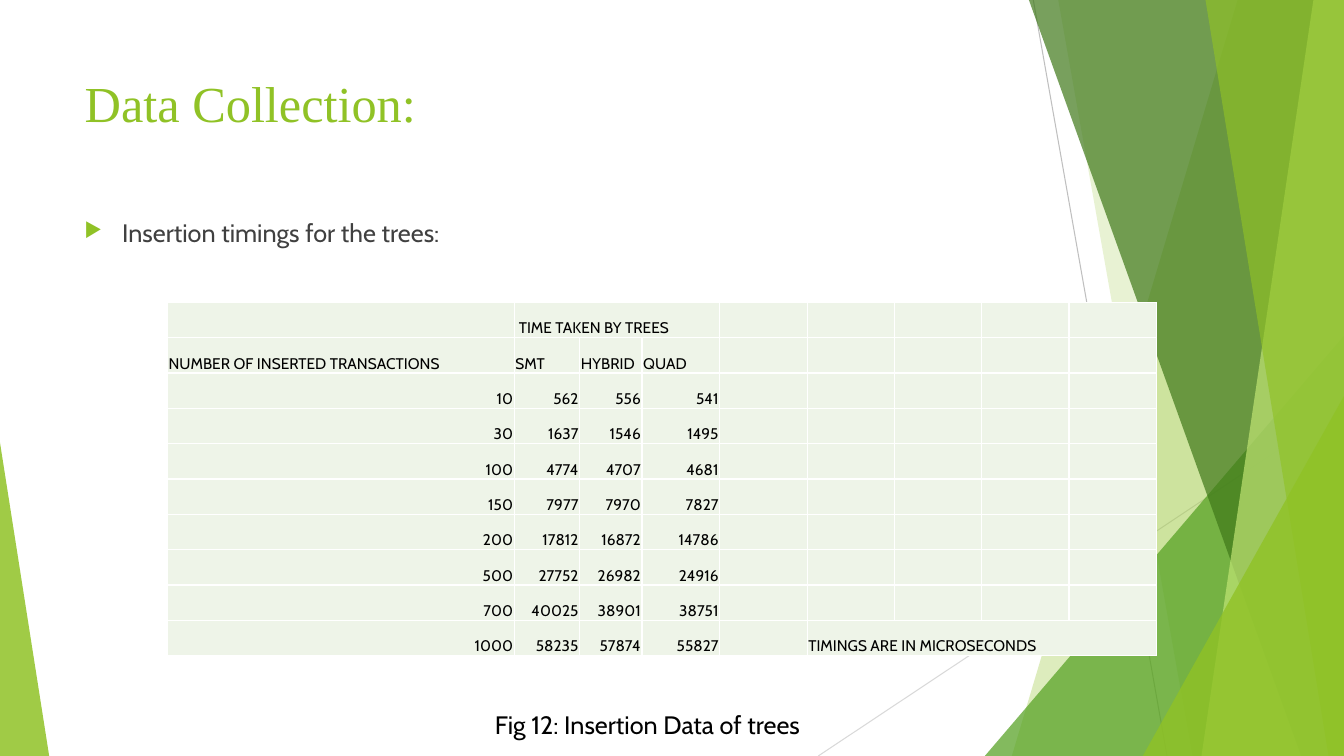
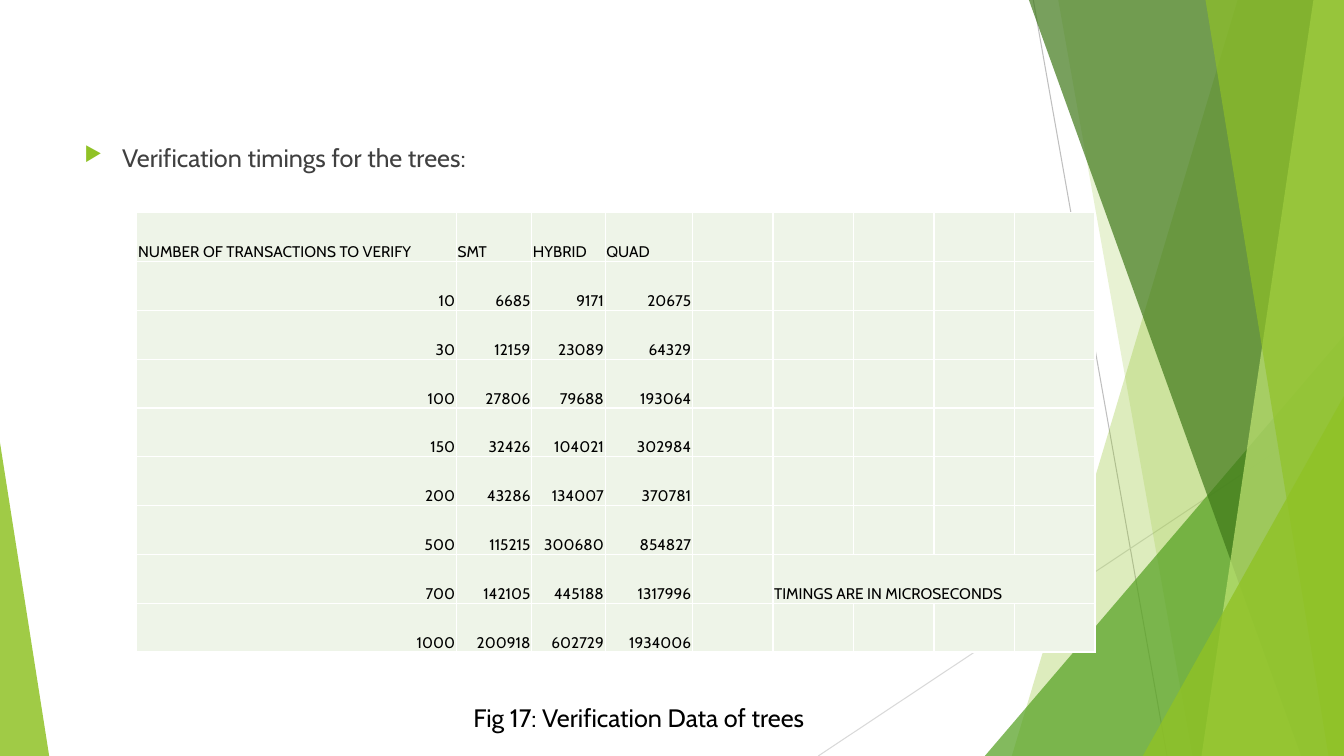
from lxml import etree
from pptx import Presentation
from pptx.dml.color import RGBColor
from pptx.enum.shapes import MSO_CONNECTOR, MSO_SHAPE
from pptx.enum.text import MSO_ANCHOR, PP_ALIGN
from pptx.oxml.ns import qn
from pptx.util import Cm, Pt

TRIANGLE = MSO_SHAPE.ISOSCELES_TRIANGLE
STRAIGHT = MSO_CONNECTOR.STRAIGHT
TOP, BOTTOM = MSO_ANCHOR.TOP, MSO_ANCHOR.BOTTOM
LEFT, RIGHT = PP_ALIGN.LEFT, PP_ALIGN.RIGHT

LIME = RGBColor(0x90, 0xC2, 0x26)
GREEN = RGBColor(0x54, 0xA0, 0x21)
FOREST = RGBColor(0x3F, 0x78, 0x19)
PALE_LIME = RGBColor(0xC0, 0xE4, 0x74)
CELL_FILL = RGBColor(0xEE, 0xF4, 0xE8)
WHITE = RGBColor(0xFF, 0xFF, 0xFF)
BLACK = RGBColor(0x00, 0x00, 0x00)
DARK_GREY = RGBColor(0x40, 0x40, 0x40)
MID_GREY = RGBColor(0xBF, 0xBF, 0xBF)
LIGHT_GREY = RGBColor(0xD9, 0xD9, 0xD9)

TITLE_FONT, BODY_FONT = "Times New Roman", "Cabin"
SLIDE_W, SLIDE_H = 33.87, 19.05
TITLE_ONLY, BLANK = 5, 6

FACET_BOX = (20.62, 0, 13.25, SLIDE_H)
CORNER_BOX = (0, 11.15, 1.24, 7.9)
TITLE_BOX = (1.88, 1.7, 23.88, 3.66)
UNITS = "TIMINGS ARE IN MICROSECONDS"

INSERTION_ROWS = [
    ["", " TIME TAKEN BY TREES"],
    ["NUMBER OF INSERTED TRANSACTIONS", "SMT", "HYBRID", "QUAD"],
    ["10", "562", "556", "541"],
    ["30", "1637", "1546", "1495"],
    ["100", "4774", "4707", "4681"],
    ["150", "7977", "7970", "7827"],
    ["200", "17812", "16872", "14786"],
    ["500", "27752", "26982", "24916"],
    ["700", "40025", "38901", "38751"],
    ["1000", "58235", "57874", "55827", "", UNITS],
]
VERIFICATION_ROWS = [
    ["NUMBER OF TRANSACTIONS TO VERIFY", "SMT", "HYBRID", "QUAD"],
    ["10", "6685", "9171", "20675"],
    ["30", "12159", "23089", "64329"],
    ["100", "27806", "79688", "193064"],
    ["150", "32426", "104021", "302984"],
    ["200", "43286", "134007", "370781"],
    ["500", "115215", "300680", "854827"],
    ["700", "142105", "445188", "1317996", "", UNITS],
    ["1000", "200918", "602729", "1934006"],
]


def style_text(tf, size, color, font=BODY_FONT):
    for p in tf.paragraphs:
        for r in p.runs:
            r.font.size = Pt(size)
            r.font.name = font
            r.font.color.rgb = color


def style_facet(sp, color, opacity):
    sp.shadow.inherit = False
    sp.line.fill.background()
    sp.fill.solid()
    sp.fill.fore_color.rgb = color
    clr = sp.fill._xPr.find(".//" + qn("a:srgbClr"))
    etree.SubElement(clr, qn("a:alpha")).set("val", str(opacity * 1000))


def add_line(slide, x1, y1, x2, y2, color):
    line = slide.shapes.add_connector(STRAIGHT, Cm(x1), Cm(y1), Cm(x2), Cm(y2))
    line.line.color.rgb = color
    line.line.width = Pt(0.75)
    etree.SubElement(line._element.spPr, qn("a:effectLst"))


def add_triangle(slide, box, apex, color, opacity):
    sp = slide.shapes.add_shape(TRIANGLE, *map(Cm, box))
    sp.adjustments[0] = apex
    style_facet(sp, color, opacity)


def add_facets(slide, box):
    left, top, width, height = box
    right, bottom = left + width, top + height

    def band(top_x, bottom_x, color, opacity):
        fb = slide.shapes.build_freeform(Cm(left + top_x), Cm(top))
        fb.add_line_segments([(Cm(right), Cm(top)), (Cm(right), Cm(bottom)),
                              (Cm(left + bottom_x), Cm(bottom))])
        style_facet(fb.convert_to_shape(), color, opacity)

    def wedge(x, y, color, opacity):
        area = (left + x, top + y, width - x, height - y)
        add_triangle(slide, area, 1, color, opacity)

    add_line(slide, left + 5.42, top, left + 8.79, bottom, MID_GREY)
    add_line(slide, right, top + 10.24, left, bottom, LIGHT_GREY)
    band(10.57, 4.88, LIME, 30)
    band(6.05, 9.43, LIME, 20)
    wedge(4.2, 8.46, GREEN, 72)
    band(5.31, 12.17, FOREST, 70)
    band(12.48, 9.66, PALE_LIME, 70)
    band(9.76, 12.86, LIME, 65)
    wedge(8.18, 9.98, LIME, 80)


def add_title(slide, box, text):
    title = slide.shapes.title
    title.left, title.top, title.width, title.height = map(Cm, box)
    tf = title.text_frame
    tf.text = text
    tf.vertical_anchor = TOP
    tf.paragraphs[0].alignment = LEFT
    style_text(tf, 36, LIME, TITLE_FONT)


def add_text(slide, box, text, color):
    tf = slide.shapes.add_textbox(*map(Cm, box)).text_frame
    tf.word_wrap = True
    tf.text = text
    style_text(tf, 18, color)
    return tf.paragraphs[0]


def add_bullet(slide, box, text):
    p = add_text(slide, box, text, DARK_GREY)
    pPr = p._p.get_or_add_pPr()
    pPr.set("marL", str(Cm(0.95)))
    pPr.set("indent", str(Cm(-0.95)))
    clr = etree.SubElement(pPr, qn("a:buClr"))
    etree.SubElement(clr, qn("a:srgbClr")).set("val", str(LIME))
    etree.SubElement(pPr, qn("a:buSzPct")).set("val", "80000")
    etree.SubElement(pPr, qn("a:buChar")).set("char", "▶")


def style_cell(cell):
    cell.margin_left = cell.margin_right = cell.margin_top = Cm(0.03)
    cell.margin_bottom = 0
    cell.vertical_anchor = BOTTOM
    tcPr = cell._tc.get_or_add_tcPr()
    for side in ("lnL", "lnR", "lnT", "lnB"):
        ln = etree.SubElement(tcPr, qn("a:" + side), w=str(Pt(1)))
        fill = etree.SubElement(ln, qn("a:solidFill"))
        etree.SubElement(fill, qn("a:srgbClr")).set("val", str(WHITE))
    cell.fill.solid()
    cell.fill.fore_color.rgb = CELL_FILL


def add_timing_table(slide, left, top, col_widths, row_height, rows, merges):
    frame = slide.shapes.add_table(
        len(rows), len(col_widths), Cm(left), Cm(top),
        Cm(sum(col_widths)), Cm(row_height * len(rows)))
    table = frame.table
    table.first_row = table.horz_banding = False
    for col, width in zip(table.columns, col_widths):
        col.width = Cm(width)
    for row in table.rows:
        row.height = Cm(row_height)
        for cell in row.cells:
            style_cell(cell)
    for r, first, last in merges:
        table.cell(r, first).merge(table.cell(r, last))
    for r, values in enumerate(rows):
        for c, value in enumerate(values):
            if value:
                tf = table.cell(r, c).text_frame
                tf.text = value
                tf.paragraphs[0].alignment = RIGHT if value.isdigit() else LEFT
                style_text(tf, 11, BLACK)


def timing_slide(prs, bullet, bullet_top, table, caption, caption_at, title=None):
    layout = prs.slide_layouts[TITLE_ONLY if title else BLANK]
    slide = prs.slides.add_slide(layout)
    add_facets(slide, FACET_BOX)
    add_triangle(slide, CORNER_BOX, 0, LIME, 85)
    if title:
        add_title(slide, TITLE_BOX, title)
    add_bullet(slide, (1.88, bullet_top, 23.88, 1.2), bullet)
    add_timing_table(slide, **table)
    add_text(slide, (*caption_at, 16.94, 1.02), caption, BLACK)


def main():
    prs = Presentation()
    prs.slide_width, prs.slide_height = Cm(SLIDE_W), Cm(SLIDE_H)
    timing_slide(
        prs, "Insertion timings for the trees:", 5.36,
        dict(left=4.22, top=7.62, col_widths=[8.74, 1.65, 1.57, 1.96] + [2.2] * 5,
             row_height=0.89, rows=INSERTION_ROWS, merges=[(0, 1, 3), (9, 5, 8)]),
        "Fig 12: Insertion Data of trees", (12.22, 17.75), "Data Collection:")
    timing_slide(
        prs, "Verification timings for the trees:", 3.45,
        dict(left=3.45, top=5.36, col_widths=[8.05, 1.9, 1.85, 2.2] + [2.03] * 5,
             row_height=1.23, rows=VERIFICATION_ROWS, merges=[(7, 5, 8)]),
        "Fig 17: Verification Data of trees", (11.68, 17.58))
    prs.save("out.pptx")


if __name__ == "__main__":
    main()
